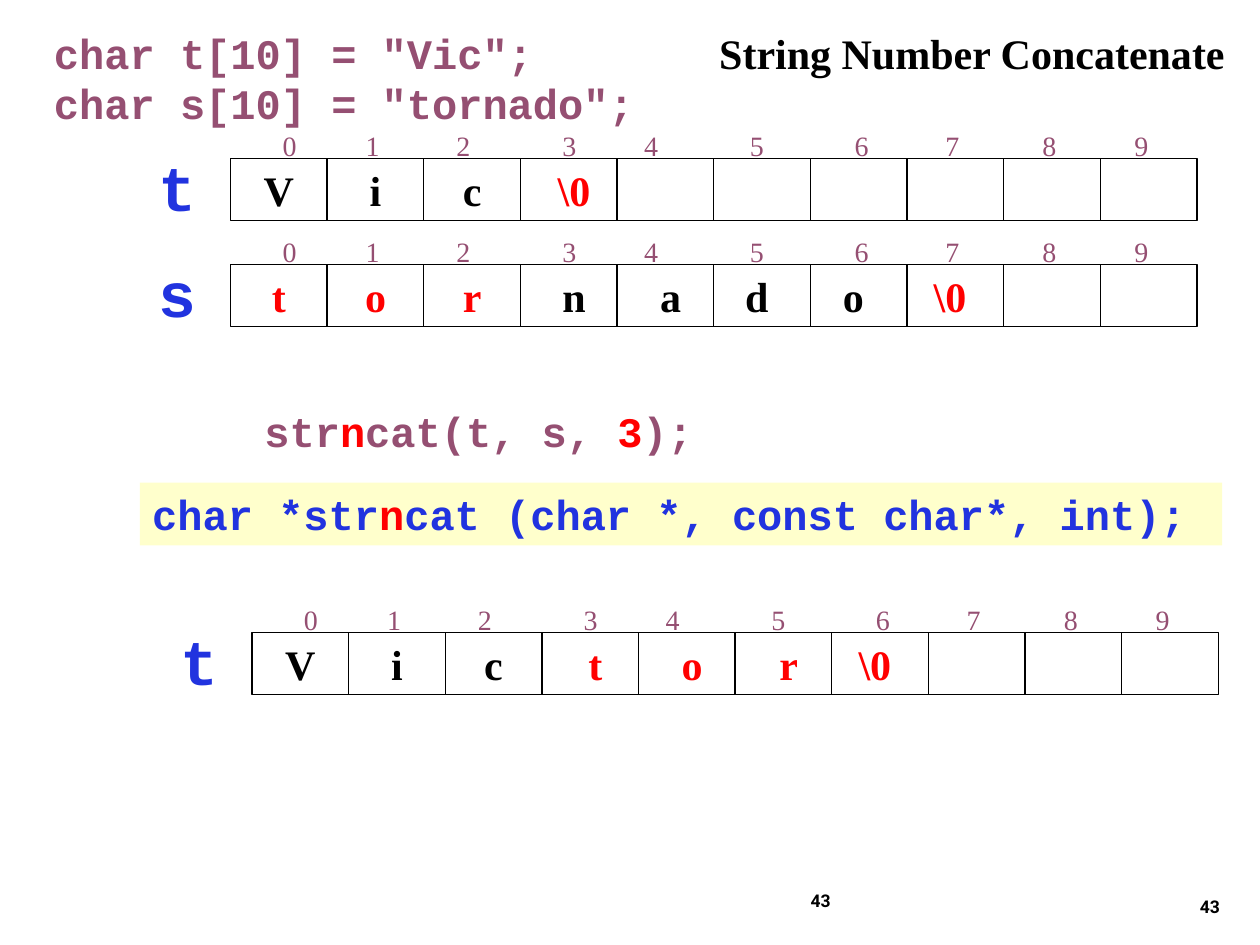
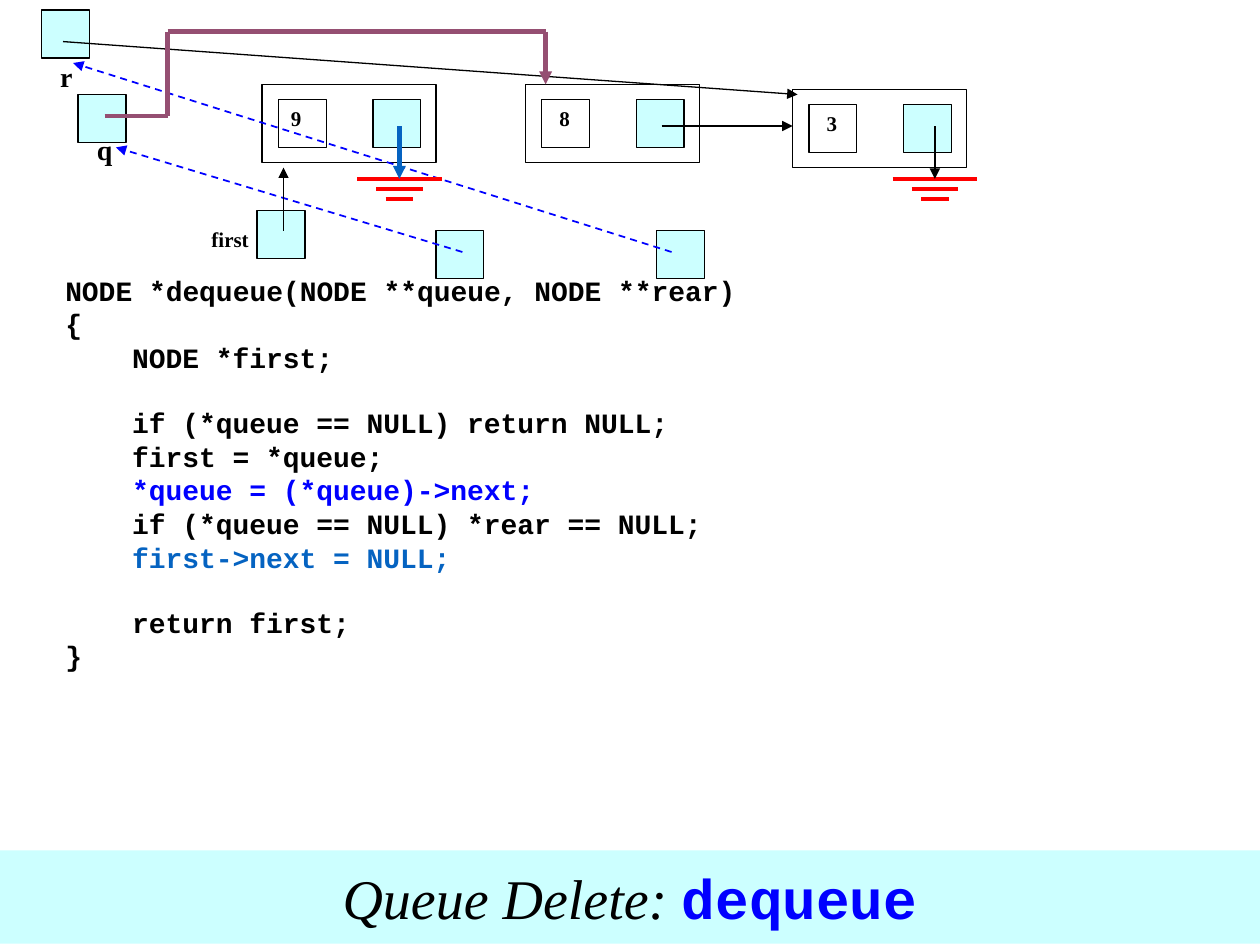
"""Build two lecture slides: string concatenation and queue deletion."""
import dataclasses
import itertools

import lxml.etree
import pptx
import pptx.dml.color
import pptx.enum.dml
import pptx.enum.shapes
import pptx.enum.text
import pptx.oxml.ns
import pptx.util

Inches = pptx.util.Inches
Align = pptx.enum.text.PP_ALIGN
Anchor = pptx.enum.text.MSO_ANCHOR
qn = pptx.oxml.ns.qn


@dataclasses.dataclass(frozen=True)
class Theme:
    """Colours, fonts and sizes shared by the slides."""
    black: str = "000000"
    white: str = "FFFFFF"
    red: str = "FF0000"
    plum: str = "954F72"
    royal: str = "2133DF"
    blue: str = "0000FF"
    azure: str = "0563C1"
    cream: str = "FFFFCC"
    aqua: str = "CCFFFF"
    serif: str = "Times New Roman"
    code: str = "Courier New"
    sans: str = "Roboto"
    number_size: float = 10
    small_size: float = 12
    body_size: float = 16
    large_size: float = 24
    banner_size: float = 32
    label_size: float = 36
    thin: float = 0.75
    dashed: float = 1
    ground: float = 2
    thick: float = 2.5


THEME = Theme()
CELL_WIDTH = 0.767
CELL_HEIGHT = 0.49
INDEX_STOPS = (0.37, 1.03, 1.75, 2.59, 3.24, 4.08, 4.91, 5.63, 6.4, 7.13)
SQUARE = 0.38


def rgb(colour):
    """Return a colour object for a hex string."""
    return pptx.dml.color.RGBColor.from_string(colour)


def style_run(run, size, font, colour, bold=True, italic=False):
    """Apply the character format to one run."""
    run.font.size = pptx.util.Pt(size)
    run.font.name = font
    run.font.color.rgb = rgb(colour)
    run.font.bold = bold
    run.font.italic = italic


def write(shape, lines, size, font, align=Align.LEFT, anchor=Anchor.TOP, wrap=True, bold=True):
    """Write lines, each a list of (text, colour) pieces, into a shape."""
    frame = shape.text_frame
    frame.word_wrap = wrap
    frame.vertical_anchor = anchor
    for number, pieces in enumerate(lines):
        paragraph = frame.add_paragraph() if number else frame.paragraphs[0]
        paragraph.alignment = align
        for text, colour in pieces:
            run = paragraph.add_run()
            run.text = text
            style_run(run, size, font, colour, bold)
    return frame


def add_text(slide, box, lines, size, font, **options):
    """Add a text box at (left, top, width, height) inches."""
    shape = slide.shapes.add_textbox(*map(Inches, box))
    return write(shape, lines, size, font, **options)


def add_box(slide, box, fill=None, line=None):
    """Add a plain rectangle."""
    shape = slide.shapes.add_shape(pptx.enum.shapes.MSO_SHAPE.RECTANGLE, *map(Inches, box))
    shape.shadow.inherit = False
    if fill:
        shape.fill.solid()
        shape.fill.fore_color.rgb = rgb(fill)
    else:
        shape.fill.background()
    if line:
        shape.line.color.rgb = rgb(line)
        shape.line.width = pptx.util.Pt(THEME.thin)
    else:
        shape.line.fill.background()
    return shape


def add_line(slide, start, end, colour=THEME.black, width=THEME.thin, arrow=True, dashed=False):
    """Add a straight line, with an arrowhead at its end if wanted."""
    connector = slide.shapes.add_connector(
        pptx.enum.shapes.MSO_CONNECTOR.STRAIGHT, *map(Inches, (*start, *end)))
    connector.line.color.rgb = rgb(colour)
    connector.line.width = pptx.util.Pt(width)
    if dashed:
        connector.line.dash_style = pptx.enum.dml.MSO_LINE.DASH
    if arrow:
        lxml.etree.SubElement(connector.line._get_or_add_ln(), qn("a:tailEnd"), type="triangle")
    lxml.etree.SubElement(connector._element.spPr, qn("a:effectLst"))


def add_index_row(slide, left, top):
    """Add the indices 0 to 9 on centred tab stops."""
    text = "".join(f"\t{index}" for index in range(len(INDEX_STOPS)))
    box = (left, top, CELL_WIDTH * len(INDEX_STOPS), CELL_HEIGHT)
    frame = add_text(slide, box, [[(text, THEME.plum)]], THEME.body_size, THEME.serif,
                     anchor=Anchor.MIDDLE, bold=False)
    properties = frame.paragraphs[0]._p.get_or_add_pPr()
    stops = lxml.etree.SubElement(properties, qn("a:tabLst"))
    for stop in INDEX_STOPS:
        lxml.etree.SubElement(stops, qn("a:tab"), pos=str(Inches(stop)), algn="ctr")


def add_array(slide, name, left, top, letters, red_cells):
    """Add a named character array of ten cells with its indices."""
    add_index_row(slide, left, top - 0.35)
    for index in range(len(INDEX_STOPS)):
        box = (left + index * CELL_WIDTH, top, CELL_WIDTH, CELL_HEIGHT)
        cell = add_box(slide, box, line=THEME.black)
        if index < len(letters):
            colour = THEME.red if index in red_cells else THEME.black
            write(cell, [[(letters[index], colour)]], THEME.large_size, THEME.serif,
                  align=Align.CENTER, anchor=Anchor.MIDDLE, wrap=False)
    add_text(slide, (left - 0.67, top - 0.13, 0.5, 0.7), [[(name, THEME.royal)]],
             THEME.label_size, THEME.code, align=Align.RIGHT, wrap=False)


def add_square(slide, left, top, fill=THEME.aqua):
    """Add a small outlined pointer or value square."""
    return add_box(slide, (left, top, SQUARE, SQUARE), fill, THEME.black)


def add_node(slide, left, top, value):
    """Add a list node with a value square and a pointer square."""
    add_box(slide, (left, top, 1.38, 0.62), THEME.white, THEME.black)
    add_square(slide, left + 0.88, top + 0.12)
    square = add_square(slide, left + 0.13, top + 0.12, THEME.white)
    write(square, [[(value, THEME.black)]], THEME.small_size, THEME.serif)


def add_label(slide, box, text, size):
    """Add a white pointer name."""
    write(add_box(slide, box, THEME.white), [[(text, THEME.black)]], size, THEME.serif)


def add_ground(slide, centre, colour, width):
    """Add a null pointer: an arrow down to three shrinking red bars."""
    for step, length in enumerate((0.67, 0.37, 0.22)):
        y = 1.42 + step * 0.08
        add_line(slide, (centre - length / 2, y), (centre + length / 2, y),
                 THEME.red, THEME.ground, arrow=False)
    add_line(slide, (centre, 1), (centre, 1.42), colour, width)


def add_code(slide, box, lines):
    """Add a code listing of (indent level, blank lines before, text, colour)."""
    frame = add_text(slide, box, [[(text, colour)] for _, _, text, colour in lines],
                     THEME.body_size, THEME.code)
    for paragraph, (level, gap, _, _) in zip(frame.paragraphs, lines):
        paragraph.space_before = pptx.util.Pt(gap * 18.1)
        paragraph._p.get_or_add_pPr().set("marL", str(Inches(level * 0.53)))


def add_banner(slide, title, keyword):
    """Add the title band at the foot of the slide."""
    band = add_box(slide, (0, 6.75, 10, 0.74), THEME.aqua)
    frame = write(band, [[(title, THEME.black), (keyword, THEME.blue)]], THEME.banner_size,
                  THEME.serif, align=Align.CENTER, anchor=Anchor.MIDDLE, wrap=False)
    title_run, keyword_run = frame.paragraphs[0].runs
    style_run(title_run, THEME.banner_size, THEME.serif, THEME.black, bold=False, italic=True)
    style_run(keyword_run, THEME.banner_size, THEME.code, THEME.blue)


def build_concatenate(slide):
    """Build the strncat slide."""
    for box, anchor in (((3.31, 6.95, 3.38, 0.4), Anchor.MIDDLE),
                        ((7.7, 6.83, 2.08, 0.5), Anchor.BOTTOM)):
        add_text(slide, box, [[("43", THEME.black)]], THEME.number_size, THEME.sans,
                 align=Align.RIGHT, anchor=anchor)
    add_text(slide, (2, 3.17, 6.92, 0.5),
             [[("str", THEME.plum), ("n", THEME.red), ("cat(t, s, ", THEME.plum),
               ("3", THEME.red), (");", THEME.plum)]], THEME.large_size, THEME.code)
    add_text(slide, (0.33, 0.17, 7.42, 1.3),
             [[('char t[10] = "Vic";', THEME.plum)], [('char s[10] = "tornado";', THEME.plum)]],
             THEME.large_size, THEME.code)
    add_text(slide, (5.61, 0.17, 4.22, 0.5), [[("String Number Concatenate", THEME.black)]],
             THEME.large_size, THEME.serif, wrap=False)
    add_array(slide, "t", 1.83, 1.26, ["V", "i", "c", " \\0"], {3})
    add_array(slide, "s", 1.83, 2.1, ["t", "o", "r", " n", " a", "d ", "o ", "\\0 "], {0, 1, 2, 7})
    prototype = add_box(slide, (1.11, 3.83, 8.59, 0.5), THEME.cream)
    write(prototype, [[("char *str", THEME.royal), ("n", THEME.red),
                       ("cat (char *, const char*, int);", THEME.royal)]],
          THEME.large_size, THEME.code)
    add_array(slide, "t", 2, 5.02, ["V", "i", "c", " t", " o", " r", "\\0 "], {3, 4, 5, 6})


def build_dequeue(slide):
    """Build the queue deletion slide."""
    add_code(slide, (0.42, 2.12, 7.17, 3.31), [
        (0, 0, "NODE *dequeue(NODE **queue, NODE **rear)", THEME.black),
        (0, 0, "{", THEME.black),
        (1, 0, "NODE *first;", THEME.black),
        (1, 1, "if (*queue == NULL) return NULL;", THEME.black),
        (1, 0, "first = *queue;", THEME.black),
        (1, 0, "*queue = (*queue)->next;", THEME.blue),
        (1, 0, "if (*queue == NULL) *rear == NULL;", THEME.black),
        (1, 0, "first->next = NULL;", THEME.azure),
        (1, 1, "return first;", THEME.black),
        (0, 0, "}", THEME.black),
    ])
    add_label(slide, (0.38, 0.42, 0.33, 0.38), "r", THEME.body_size)
    add_label(slide, (0.67, 1, 0.25, 0.38), "q", THEME.body_size)
    add_label(slide, (1.58, 1.75, 0.75, 0.38), "first", THEME.small_size)
    add_node(slide, 2.08, 0.67, "9")
    add_node(slide, 4.17, 0.67, " 8")
    add_node(slide, 6.29, 0.71, " 3")
    for left, top in ((0.62, 0.75), (0.33, 0.08), (3.46, 1.83), (5.21, 1.83), (2.04, 1.67)):
        add_square(slide, left, top)
    for start, end in (((3.67, 2), (0.92, 1.17)), ((5.33, 2), (0.58, 0.5))):
        add_line(slide, start, end, THEME.blue, THEME.dashed, dashed=True)
    for start, end in (((2.25, 1.83), (2.25, 1.33)), ((0.5, 0.33), (6.33, 0.75)),
                       ((5.25, 1), (6.29, 1))):
        add_line(slide, start, end)
    add_ground(slide, 7.42, THEME.black, THEME.thin)
    route = [(0.83, 0.92), (1.33, 0.92), (1.33, 0.25), (4.33, 0.25), (4.33, 0.67)]
    for start, end in itertools.pairwise(route):
        add_line(slide, start, end, THEME.plum, THEME.thick, arrow=end == route[-1])
    add_ground(slide, 3.17, THEME.azure, THEME.thick)
    add_banner(slide, "Queue Delete: ", "dequeue")


def main():
    """Create the presentation and save it."""
    presentation = pptx.Presentation()
    presentation.slide_width = Inches(10)
    presentation.slide_height = Inches(7.5)
    for build in (build_concatenate, build_dequeue):
        slide = presentation.slides.add_slide(presentation.slide_layouts[6])
        slide.background.fill.solid()
        slide.background.fill.fore_color.rgb = rgb(THEME.white)
        build(slide)
    presentation.save("out.pptx")


main()
